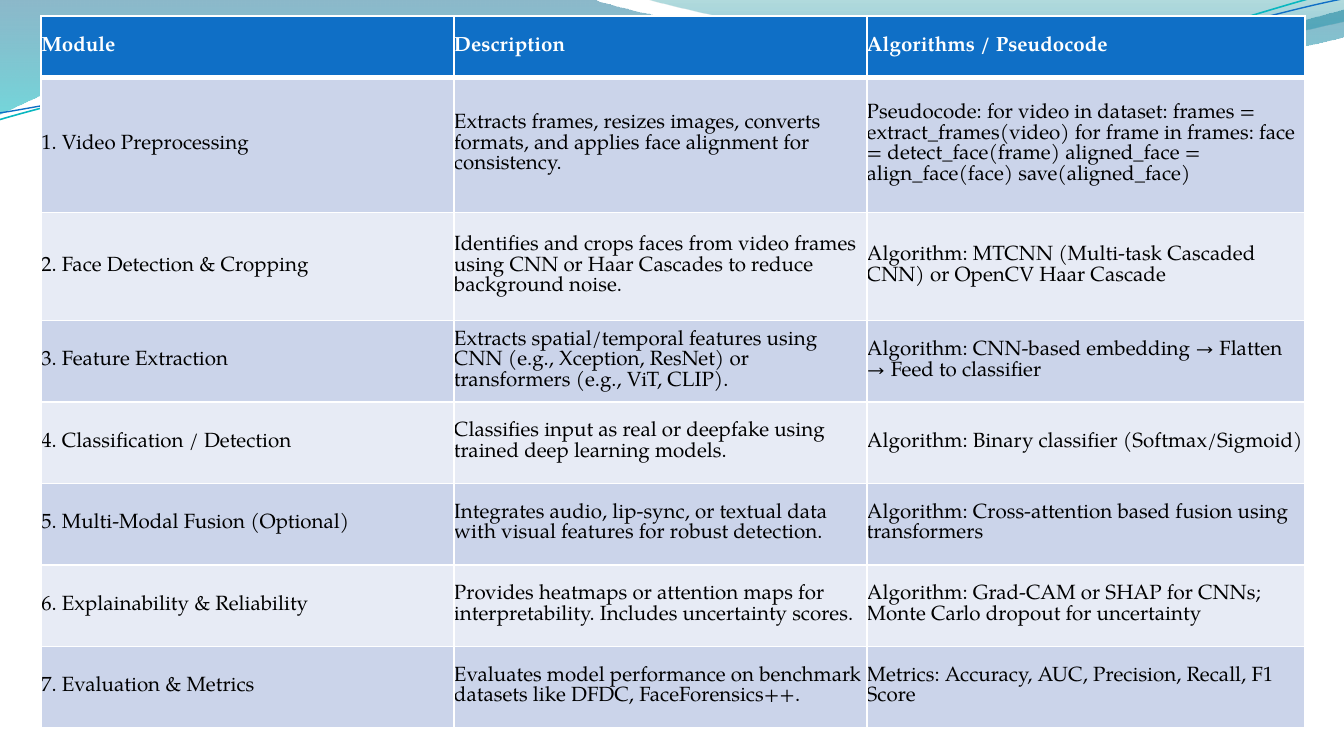
from dataclasses import dataclass

from lxml import etree
from pptx import Presentation
from pptx.dml.color import RGBColor
from pptx.enum.text import MSO_ANCHOR
from pptx.oxml.ns import qn
from pptx.util import Cm, Pt

MIDDLE = MSO_ANCHOR.MIDDLE
BLANK_LAYOUT = 6
CM_PER_INCH = 2.54


@dataclass(frozen=True)
class Theme:
    font: str = "TeX Gyre Pagella"
    text_size: float = 11
    header_text: str = "FFFFFF"
    body_text: str = "000000"
    header_fill: str = "0F6FC6"
    row_fills: tuple = ("CBD4EA", "E7EBF5")
    border: str = "FFFFFF"
    thin: float = 1
    thick: float = 3
    left_band: tuple = ((0, "00638A", 45), (1, "00B4BC", 55))
    right_band: tuple = ((0, "008990", 30), (0.8, "007CAC", 45))
    teal_line: str = "08B7BF"
    blue_line: str = "0F6FC6"


LEFT_BAND = [
    [(0, 0)], [(4.4, -0.01)],
    [(4.76, 0.13), (6.64, 0.47), (7.58, 0.47)],
    [(8.53, 0.47), (9.58, 0.19), (10, 0.07)], [(10.01, 0.27)],
    [(9.83, 0.33), (8.7, 0.57), (7.46, 0.57)],
    [(6.22, 0.56), (3.82, 0.21), (2.57, 0.26)],
    [(1.29, 0.27), (0.46, 0.62), (-0.01, 0.85)], [(0, 0)],
]
RIGHT_BAND = [
    [(4.79, -0.01)],
    [(5.09, 0.08), (6.82, 0.46), (7.69, 0.49)],
    [(8.56, 0.52), (9.61, 0.24), (10, 0.16)], [(10, 0)], [(4.79, -0.01)],
]
TEAL_WAVE = [
    [(0, 0.89)],
    [(0.48, 0.75), (1.58, 0.47), (2.77, 0.41)],
    [(3.96, 0.36), (5.92, 0.65), (7.12, 0.57)],
    [(8.33, 0.49), (9.39, 0.06), (9.98, -0.07)],
]
BLUE_WAVE = [
    [(0, 0.84)],
    [(0.47, 0.77), (1.64, 0.5), (2.83, 0.45)],
    [(4.03, 0.4), (5.97, 0.61), (7.16, 0.54)],
    [(8.36, 0.46), (9.41, 0.1), (10, -0.01)],
]

MODULES = [
    ("Module", "Description", "Algorithms / Pseudocode"),
    ("1. Video Preprocessing",
     "Extracts frames, resizes images, converts formats, and applies face alignment for consistency.",
     "Pseudocode: for video in dataset: frames = extract_frames(video) for frame in frames: "
     "face = detect_face(frame) aligned_face = align_face(face) save(aligned_face)"),
    ("2. Face Detection & Cropping",
     "Identifies and crops faces from video frames using CNN or Haar Cascades to reduce background noise.",
     "Algorithm: MTCNN (Multi-task Cascaded CNN) or OpenCV Haar Cascade"),
    ("3. Feature Extraction",
     "Extracts spatial/temporal features using CNN (e.g., Xception, ResNet) or transformers (e.g., ViT, CLIP).",
     "Algorithm: CNN-based embedding → Flatten → Feed to classifier"),
    ("4. Classification / Detection",
     "Classifies input as real or deepfake using trained deep learning models.",
     "Algorithm: Binary classifier (Softmax/Sigmoid)"),
    ("5. Multi-Modal Fusion (Optional)",
     "Integrates audio, lip-sync, or textual data with visual features for robust detection.",
     "Algorithm: Cross-attention based fusion using transformers"),
    ("6. Explainability & Reliability",
     "Provides heatmaps or attention maps for interpretability. Includes uncertainty scores.",
     "Algorithm: Grad-CAM or SHAP for CNNs; Monte Carlo dropout for uncertainty"),
    ("7. Evaluation & Metrics",
     "Evaluates model performance on benchmark datasets like DFDC, FaceForensics++.",
     "Metrics: Accuracy, AUC, Precision, Recall, F1 Score"),
]
COLUMN_WIDTHS = [7.8, 7.8, 8.28]
ROW_HEIGHTS = [1.16, 2.56, 2.04] + [1.54] * 5


class SlideBuilder:
    def __init__(self, slide, theme):
        self.slide = slide
        self.theme = theme

    def outline(self, segments, close):
        segments = [[tuple(Cm(value * CM_PER_INCH) for value in point) for point in segment]
                    for segment in segments]
        ends = [segment[-1] for segment in segments]
        builder = self.slide.shapes.build_freeform(*ends[0])
        builder.add_line_segments(ends[1:], close=close)
        shape = builder.convert_to_shape()
        shape.shadow.inherit = False
        lines = list(shape._element.spPr.iter(qn("a:lnTo")))
        for line, segment in zip(lines, segments[1:]):
            if len(segment) == 3:
                self.bend(line, segment, shape)
        return shape

    def bend(self, line, points, shape):
        curve = etree.Element(qn("a:cubicBezTo"))
        for x, y in points:
            etree.SubElement(curve, qn("a:pt"), x=str(x - shape.left), y=str(y - shape.top))
        line.getparent().replace(line, curve)

    def band(self, segments, stops):
        shape = self.outline(segments, True)
        shape.line.fill.background()
        shape.fill.gradient()
        shape.fill.gradient_angle = 270
        for stop, (position, color, _) in zip(shape.fill.gradient_stops, stops):
            stop.position = position
            stop.color.rgb = RGBColor.from_string(color)
        colors = shape._element.spPr.iter(qn("a:srgbClr"))
        for color, (_, _, opacity) in zip(colors, stops):
            etree.SubElement(color, qn("a:alpha"), val=str(opacity * 1000))

    def wave(self, segments, color, width):
        shape = self.outline(segments, False)
        shape.fill.background()
        shape.line.color.rgb = RGBColor.from_string(color)
        shape.line.width = Pt(width)

    def table(self, left, top, rows, widths, heights):
        frame = self.slide.shapes.add_table(
            len(rows), len(widths), Cm(left), Cm(top), Cm(sum(widths)), Cm(sum(heights)))
        table = frame.table
        for column, width in zip(table.columns, widths):
            column.width = Cm(width)
        for row_index, (row, height) in enumerate(zip(rows, heights)):
            table.rows[row_index].height = Cm(height)
            for column_index, text in enumerate(row):
                self.cell(table.cell(row_index, column_index), text, row_index)

    def cell(self, cell, text, row_index):
        theme = self.theme
        header = row_index == 0
        fill = theme.header_fill if header else theme.row_fills[(row_index - 1) % 2]
        cell.fill.solid()
        cell.fill.fore_color.rgb = RGBColor.from_string(fill)
        cell.vertical_anchor = MIDDLE
        cell.margin_left = cell.margin_right = cell.margin_top = cell.margin_bottom = 0
        cell.text = text
        paragraph = cell.text_frame.paragraphs[0]
        paragraph.line_spacing = Pt(theme.text_size)
        font = paragraph.font
        font.name = theme.font
        font.size = Pt(theme.text_size)
        font.bold = header
        font.color.rgb = RGBColor.from_string(theme.header_text if header else theme.body_text)
        top = theme.thick if row_index == 1 else theme.thin
        bottom = theme.thick if header else theme.thin
        self.borders(cell, {"L": theme.thin, "R": theme.thin, "T": top, "B": bottom})

    def borders(self, cell, widths):
        properties = cell._tc.get_or_add_tcPr()
        for index, (side, width) in enumerate(widths.items()):
            line = etree.Element(qn(f"a:ln{side}"), w=str(Pt(width)))
            fill = etree.SubElement(line, qn("a:solidFill"))
            etree.SubElement(fill, qn("a:srgbClr"), val=self.theme.border)
            properties.insert(index, line)


def main():
    presentation = Presentation()
    presentation.slide_width = Cm(25.4)
    presentation.slide_height = Cm(14.29)
    slide = presentation.slides.add_slide(presentation.slide_layouts[BLANK_LAYOUT])
    theme = Theme()
    builder = SlideBuilder(slide, theme)
    builder.band(LEFT_BAND, theme.left_band)
    builder.band(RIGHT_BAND, theme.right_band)
    builder.wave(TEAL_WAVE, theme.teal_line, 0.85)
    builder.wave(BLUE_WAVE, theme.blue_line, 0.75)
    builder.table(0.78, 0.3, MODULES, COLUMN_WIDTHS, ROW_HEIGHTS)
    presentation.save("out.pptx")


if __name__ == "__main__":
    main()
